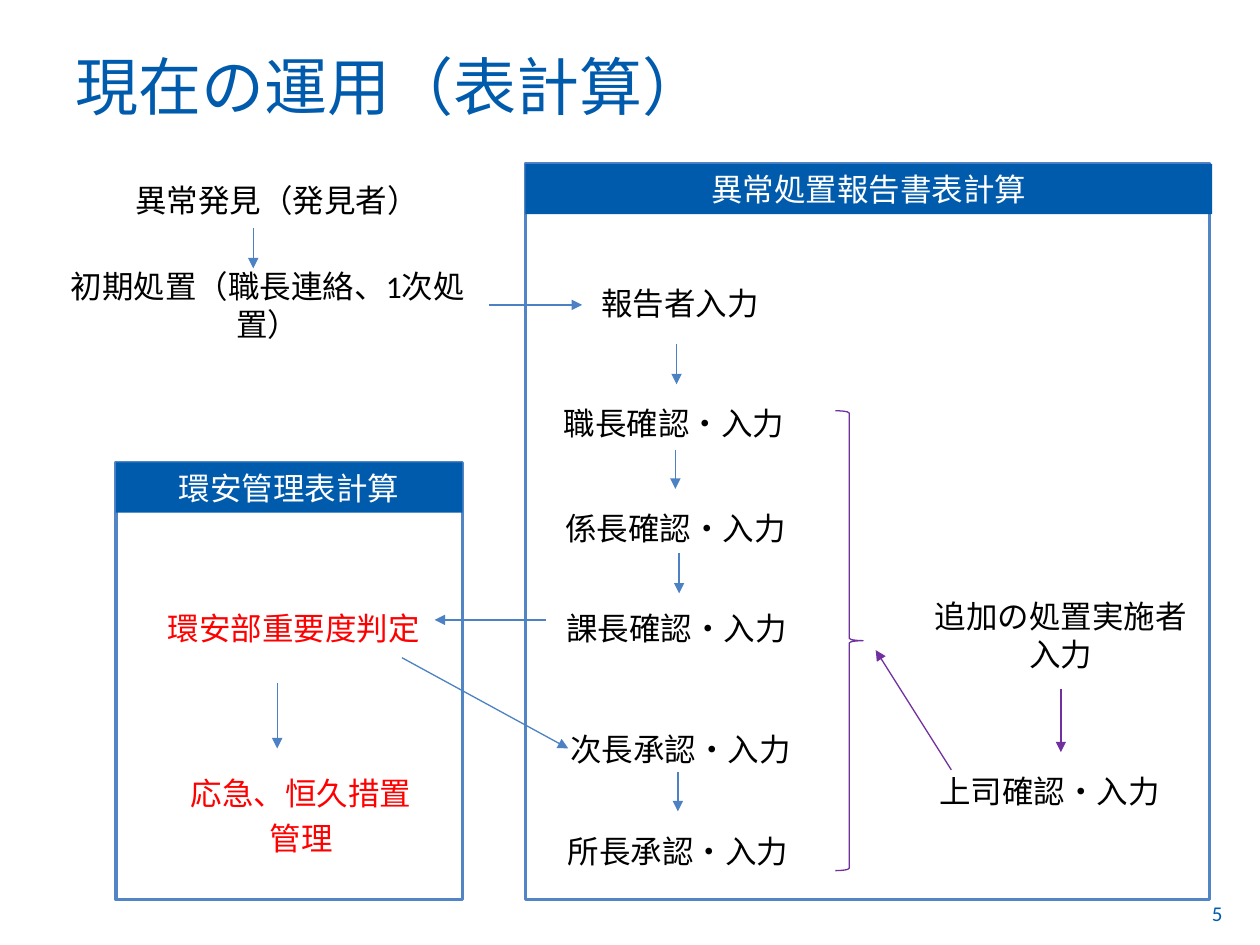
from dataclasses import dataclass

from lxml import etree
from pptx import Presentation
from pptx import util as u
from pptx.dml.color import RGBColor
from pptx.enum import shapes, text
from pptx.oxml.ns import qn

PX = 9144


@dataclass(frozen=True)
class Theme:
    font: str = "Calibri"
    brand: str = "005BAC"
    border: str = "5185C5"
    arrow: str = "4C82C3"
    extra: str = "7030A0"
    ink: str = "000000"
    alert: str = "FF0000"
    white: str = "FFFFFF"
    title_size: int = 36
    body_size: int = 18
    number_size: int = 12
    border_width: float = 2
    arrow_width: float = 0.75


THEME = Theme()
STEP_HEIGHT = 62
HEADER_HEIGHT = 40

TITLE = ("現在の運用（表計算）", (50, 26, 900, 77))
PAGE_NUMBER = ("5", (952, 710, 48, 40))
PANELS = [
    ("異常処置報告書表計算", (417, 130, 543, 584), 545),
    ("環安管理表計算", (92, 367, 275, 347), 275),
]
STEPS = [
    ("異常発見（発見者）", 95, 128, 250, THEME.ink),
    ("初期処置（職長連絡、1次処置）", 37, 211, 351, THEME.ink),
    ("報告者入力", 457, 209, 165, THEME.ink),
    ("職長確認・入力", 417, 305, 236, THEME.ink),
    ("係長確認・入力", 418, 388, 236, THEME.ink),
    ("課長確認・入力", 419, 467, 236, THEME.ink),
    ("次長承認・入力", 422, 563, 236, THEME.ink),
    ("所長承認・入力", 420, 644, 236, THEME.ink),
    ("環安部重要度判定", 115, 467, 236, THEME.alert),
    ("応急、恒久措置\n管理", 115, 616, 248, THEME.alert),
    ("追加の処置実施者入力", 724, 473, 236, THEME.ink),
    ("上司確認・入力", 715, 597, 236, THEME.ink),
]
BRACE = (663, 326, 22, 365)
ARROWS = [
    ((201, 181), (201, 213), THEME.arrow),
    ((388, 242), (462, 242), THEME.arrow),
    ((537, 273), (537, 305), THEME.arrow),
    ((536, 357), (536, 388), THEME.arrow),
    ((539, 439), (539, 471), THEME.arrow),
    ((433, 492), (345, 492), THEME.arrow),
    ((319, 522), (451, 594), THEME.arrow),
    ((538, 613), (538, 644), THEME.arrow),
    ((220, 542), (220, 594), THEME.arrow),
    ((842, 547), (842, 597), THEME.extra),
    ((755, 611), (695, 516), THEME.extra),
]


def emu(values):
    return [value * PX for value in values]


def color(value):
    return RGBColor.from_string(value)


def write(shape, content, size, ink, align, anchor):
    frame = shape.text_frame
    frame.word_wrap = True
    frame.auto_size = text.MSO_AUTO_SIZE.NONE
    frame.vertical_anchor = anchor
    frame.text = content
    for index, paragraph in enumerate(frame.paragraphs):
        paragraph.alignment = align
        paragraph.space_before = u.Pt(4 if index else 0)
        paragraph.font.name = THEME.font
        paragraph.font.size = u.Pt(size)
        paragraph.font.color.rgb = color(ink)


def add_shape(slide, kind, box, fill=None, line=None, width=0):
    shape = slide.shapes.add_shape(kind, *emu(box))
    shape.shadow.inherit = False
    if fill:
        shape.fill.solid()
        shape.fill.fore_color.rgb = color(fill)
    else:
        shape.fill.background()
    if line:
        shape.line.color.rgb = color(line)
        shape.line.width = u.Pt(width)
    else:
        shape.line.fill.background()
    return shape


def add_text(slide, content, box, size, ink, align, anchor):
    shape = slide.shapes.add_textbox(*emu(box))
    write(shape, content, size, ink, align, anchor)
    return shape


def side_middles(shape):
    middle_x, middle_y = shape.left + shape.width // 2, shape.top + shape.height // 2
    right, bottom = shape.left + shape.width, shape.top + shape.height
    return [(middle_x, shape.top), (shape.left, middle_y), (middle_x, bottom), (right, middle_y)]


def add_arrow(slide, start, end, ink, joints):
    start, end = tuple(emu(start)), tuple(emu(end))
    arrow = slide.shapes.add_connector(shapes.MSO_CONNECTOR.STRAIGHT, *start, *end)
    arrow.line.color.rgb = color(ink)
    arrow.line.width = u.Pt(THEME.arrow_width)
    etree.SubElement(arrow.line._get_or_add_ln(), qn("a:tailEnd"), type="triangle")
    etree.SubElement(arrow._element.spPr, qn("a:effectLst"))
    if start in joints:
        arrow.begin_connect(*joints[start])
    if end in joints:
        arrow.end_connect(*joints[end])


def main():
    presentation = Presentation()
    presentation.slide_width, presentation.slide_height = emu((1000, 750))
    slide = presentation.slides.add_slide(presentation.slide_layouts[5])
    left, center = text.PP_ALIGN.LEFT, text.PP_ALIGN.CENTER
    top, middle, bottom = text.MSO_ANCHOR.TOP, text.MSO_ANCHOR.MIDDLE, text.MSO_ANCHOR.BOTTOM

    title = slide.shapes.title
    content, box = TITLE
    title.left, title.top, title.width, title.height = emu(box)
    write(title, content, THEME.title_size, THEME.brand, left, bottom)

    rectangle = shapes.MSO_SHAPE.RECTANGLE
    for heading, box, header_width in PANELS:
        add_shape(slide, rectangle, box, THEME.white, THEME.border, THEME.border_width)
        header = add_shape(slide, rectangle, (*box[:2], header_width, HEADER_HEIGHT), THEME.brand)
        write(header, heading, THEME.body_size, THEME.white, center, middle)

    joints = {}
    for content, x, y, width, ink in STEPS:
        box = (x, y, width, STEP_HEIGHT)
        step = add_text(slide, content, box, THEME.body_size, ink, center, middle)
        for side, point in enumerate(side_middles(step)):
            joints[point] = (step, side)

    add_shape(slide, shapes.MSO_SHAPE.RIGHT_BRACE, BRACE, None, THEME.extra, THEME.arrow_width)
    for start, end, ink in ARROWS:
        add_arrow(slide, start, end, ink, joints)

    add_text(slide, *PAGE_NUMBER, THEME.number_size, THEME.brand, left, top)
    presentation.save("out.pptx")


if __name__ == "__main__":
    main()
